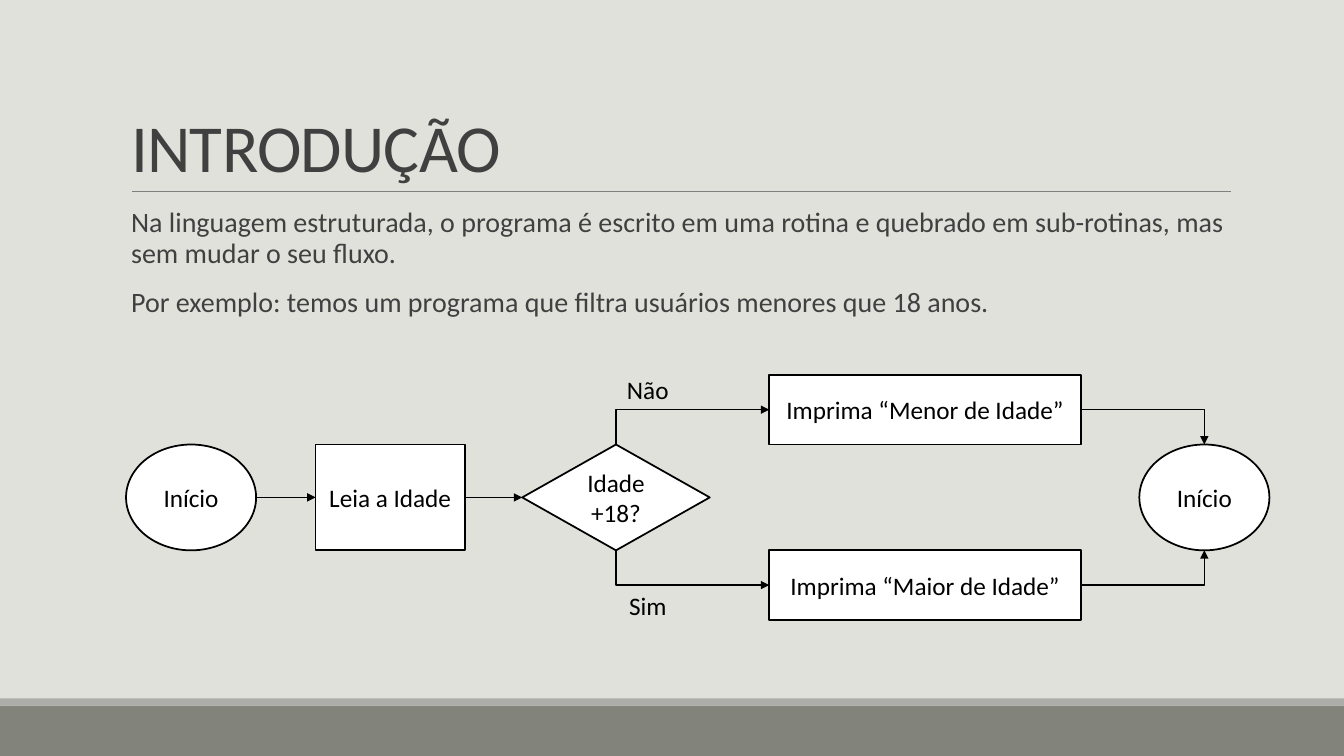
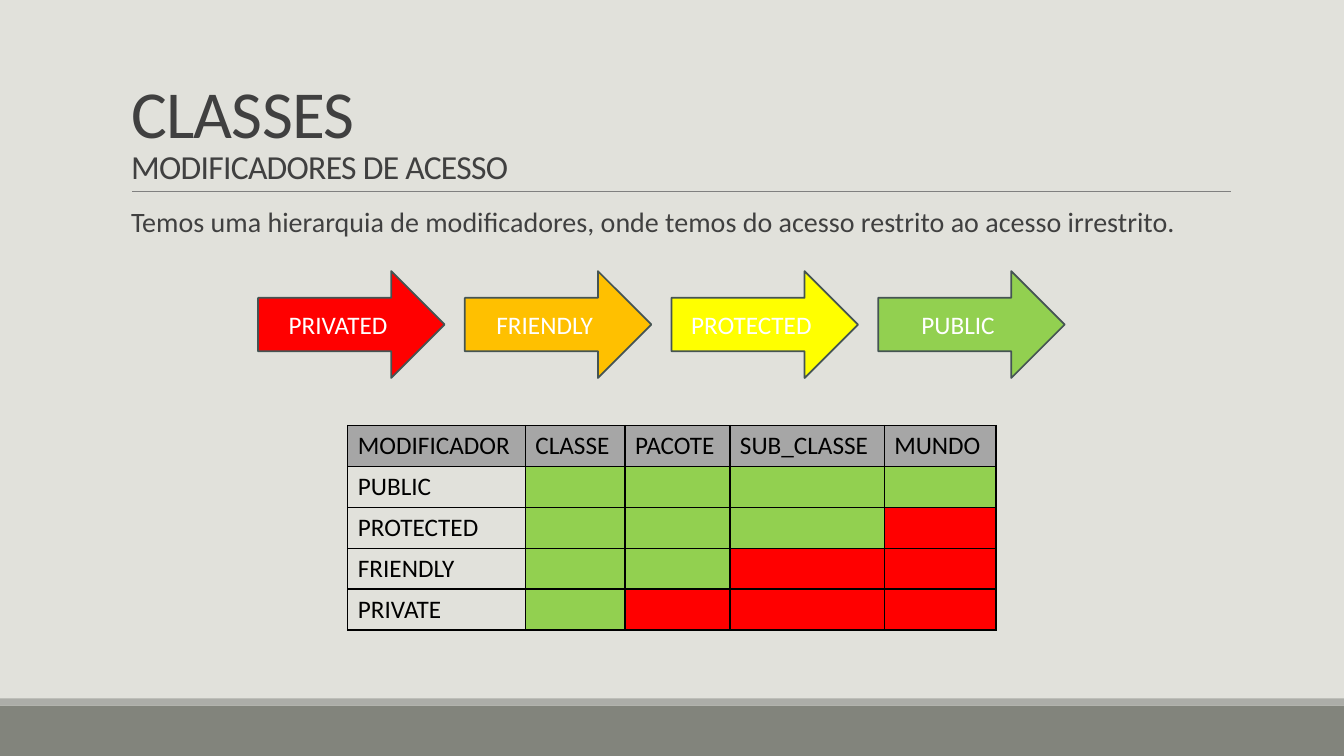
from lxml.etree import SubElement
from pptx import Presentation
from pptx.dml.color import RGBColor
from pptx.enum.shapes import MSO_CONNECTOR, MSO_SHAPE
from pptx.enum.text import MSO_ANCHOR, MSO_AUTO_SIZE, PP_ALIGN
from pptx.oxml.ns import qn
from pptx.util import Inches, Pt

BACKGROUND = RGBColor(0xE1, 0xE1, 0xDB)
BAND = RGBColor(0x82, 0x84, 0x7C)
BAND_EDGE = RGBColor(0xAC, 0xAD, 0xA8)
RULE = RGBColor(0x80, 0x80, 0x80)
DARK = RGBColor(0x40, 0x40, 0x40)
OUTLINE = RGBColor(0x45, 0x54, 0x53)
HEADER = RGBColor(0xA6, 0xA6, 0xA6)
BLACK = RGBColor(0, 0, 0)
WHITE = RGBColor(0xFF, 0xFF, 0xFF)
RED = RGBColor(0xFF, 0, 0)
ORANGE = RGBColor(0xFF, 0xC0, 0)
YELLOW = RGBColor(0xFF, 0xFF, 0)
GREEN = RGBColor(0x92, 0xD0, 0x50)

TOP, LEFT, BOTTOM, RIGHT = range(4)
SIDES = [(0.5, 0), (0, 0.5), (0.5, 1), (1, 0.5)]


def add_text(p, text, size=18, color=BLACK, align=None, tracking=None):
    if align is not None:
        p.alignment = align
    r = p.add_run()
    r.text = text
    r.font.name = "Calibri"
    r.font.size = Pt(size)
    r.font.color.rgb = color
    if tracking is not None:
        r.font._element.set("spc", str(tracking))


def add_box(s, kind, box, fill, line=None, text=None, color=BLACK):
    sp = s.shapes.add_shape(kind, *[Inches(v) for v in box])
    sp.shadow.inherit = False
    sp.fill.solid()
    sp.fill.fore_color.rgb = fill
    if line is None:
        sp.line.fill.background()
    else:
        sp.line.color.rgb = line
        sp.line.width = Pt(1.25)
    if text:
        tf = sp.text_frame
        tf.word_wrap = True
        tf.vertical_anchor = MSO_ANCHOR.MIDDLE
        add_text(tf.paragraphs[0], text, color=color, align=PP_ALIGN.CENTER)
    return sp


prs = Presentation()
prs.slide_width = Inches(13.33)
prs.slide_height = Inches(7.5)
layout = prs.slide_layouts[1]
fill = prs.slide_master.background.fill
fill.solid()
fill.fore_color.rgb = BACKGROUND

for ph, (top, height) in zip(layout.placeholders, [(0.31, 1.59), (2.02, 4.4)]):
    ph.left, ph.top = Inches(1.2), Inches(top)
    ph.width, ph.height = Inches(11), Inches(height)

CONTENT = [
    (["INTRODUÇÃO"],
     ["Na linguagem estruturada, o programa é escrito em uma rotina e quebrado em sub-rotinas, "
      "mas sem mudar o seu fluxo.",
      "Por exemplo: temos um programa que filtra usuários menores que 18 anos."]),
    (["CLASSES", "MODIFICADORES DE ACESSO"],
     ["Temos uma hierarquia de modificadores, onde temos do acesso restrito ao acesso irrestrito."]),
]
for title, body in CONTENT:
    s = prs.slides.add_slide(layout)
    tf = s.shapes.title.text_frame
    tf.auto_size = MSO_AUTO_SIZE.NONE
    tf.vertical_anchor = MSO_ANCHOR.BOTTOM
    p = tf.paragraphs[0]
    p.line_spacing = 0.85
    for i, (line, size) in enumerate(zip(title, [48, 24])):
        if i:
            p.add_line_break()
        add_text(p, line, size=size, color=DARK, align=PP_ALIGN.LEFT, tracking=-50)

    tf = s.placeholders[1].text_frame
    tf.auto_size = MSO_AUTO_SIZE.NONE
    tf.margin_left = tf.margin_right = 0
    for i, line in enumerate(body):
        p = tf.add_paragraph() if i else tf.paragraphs[0]
        p.line_spacing = 0.9
        p.space_before, p.space_after = Pt(12), Pt(2)
        add_text(p, line, size=20, color=DARK)
        pPr = p._p.get_or_add_pPr()
        pPr.set("marL", str(Inches(0.1)))
        pPr.set("indent", "0")
        SubElement(pPr, qn("a:buNone"))

flow, access = prs.slides

band = add_box(flow, MSO_SHAPE.RECTANGLE, (0, 7, 13.33, 0.5), BAND)
edge = add_box(flow, MSO_SHAPE.RECTANGLE, (0, 6.93, 13.33, 0.07), BAND_EDGE)
rule = flow.shapes.add_connector(
    MSO_CONNECTOR.STRAIGHT, Inches(1.31), Inches(1.9), Inches(12.21), Inches(1.9))
rule.line.color.rgb = RULE
rule.line.width = Pt(0.5)
SubElement(rule.element.spPr, qn("a:effectLst"))
for i, sp in enumerate([band, edge, rule]):
    sp.element[0][0].set("id", str(20 + i))
    layout.shapes.element.insert(2 + i, sp.element)

STEPS = {
    "start": (MSO_SHAPE.OVAL, (1.25, 4.41, 1.29, 1.05), "Início"),
    "read": (MSO_SHAPE.RECTANGLE, (3.13, 4.41, 1.48, 1.05), "Leia a Idade"),
    "test": (MSO_SHAPE.FLOWCHART_DECISION, (5.18, 4.41, 1.86, 1.05), "Idade +18?"),
    "adult": (MSO_SHAPE.RECTANGLE, (7.63, 5.46, 3.09, 0.69), "Imprima “Maior de Idade”"),
    "minor": (MSO_SHAPE.RECTANGLE, (7.63, 3.72, 3.09, 0.69), "Imprima “Menor de Idade”"),
    "end": (MSO_SHAPE.OVAL, (11.3, 4.41, 1.29, 1.05), "Início"),
}
steps = {name: add_box(flow, kind, box, WHITE, BLACK, text)
         for name, (kind, box, text) in STEPS.items()}

LINKS = [
    ("start", RIGHT, "read", LEFT, "a:tailEnd"),
    ("read", RIGHT, "test", LEFT, "a:tailEnd"),
    ("minor", LEFT, "test", TOP, "a:headEnd"),
    ("adult", LEFT, "test", BOTTOM, "a:headEnd"),
    ("minor", RIGHT, "end", TOP, "a:tailEnd"),
    ("adult", RIGHT, "end", BOTTOM, "a:tailEnd"),
]
for begin, begin_side, end, end_side, arrow in LINKS:
    ends = [(steps[begin], begin_side), (steps[end], end_side)]
    points = []
    for sp, side in ends:
        fx, fy = SIDES[side]
        points += [int(sp.left + fx * sp.width), int(sp.top + fy * sp.height)]
    bent = end_side in (TOP, BOTTOM)
    cx = flow.shapes.add_connector(
        MSO_CONNECTOR.ELBOW if bent else MSO_CONNECTOR.STRAIGHT, *points)
    cx.line.color.rgb = BLACK
    cx.line.width = Pt(1)
    spPr = cx.element.spPr
    if bent:
        spPr.find(qn("a:prstGeom")).set("prst", "bentConnector2")
    SubElement(spPr.find(qn("a:ln")), qn(arrow), type="triangle")
    SubElement(spPr, qn("a:effectLst"))
    for tag, (sp, side) in zip(["a:stCxn", "a:endCxn"], ends):
        site = side * 2 if sp.auto_shape_type == MSO_SHAPE.OVAL else side
        SubElement(cx.element.nvCxnSpPr.cNvCxnSpPr, qn(tag), id=str(sp.shape_id), idx=str(site))

for text, left, top, width in [("Não", 6.12, 3.66, 0.62), ("Sim", 6.14, 5.81, 0.58)]:
    tb = flow.shapes.add_textbox(Inches(left), Inches(top), Inches(width), Inches(0.4))
    tb.text_frame.word_wrap = False
    tb.text_frame.auto_size = MSO_AUTO_SIZE.SHAPE_TO_FIT_TEXT
    add_text(tb.text_frame.paragraphs[0], text)

LEVELS = [("PRIVATED", RED), ("FRIENDLY", ORANGE), ("PROTECTED", YELLOW), ("PUBLIC", GREEN)]
for i, (text, color) in enumerate(LEVELS):
    add_box(access, MSO_SHAPE.RIGHT_ARROW, (2.56 + 2.05 * i, 2.69, 1.85, 1.06),
            color, OUTLINE, text, WHITE)

HEADINGS = ["MODIFICADOR", "CLASSE", "PACOTE", "SUB_CLASSE", "MUNDO"]
MODIFIERS = ["PUBLIC", "PROTECTED", "FRIENDLY", "PRIVATE"]
WIDTHS = [1.76, 0.99, 1.04, 1.53, 1.11]
table = access.shapes.add_table(
    5, 5, Inches(3.45), Inches(4.22), Inches(6.43), Inches(2.03)).table
table.first_row = table.horz_banding = False
for col, width in zip(table.columns, WIDTHS):
    col.width = Inches(width)
for i, row in enumerate(table.rows):
    for j, cell in enumerate(row.cells):
        if i and not j:
            cell.fill.background()
        else:
            cell.fill.solid()
            cell.fill.fore_color.rgb = HEADER if i == 0 else GREEN if i + j <= 5 else RED
        if i == 0 or j == 0:
            add_text(cell.text_frame.paragraphs[0], MODIFIERS[i - 1] if i else HEADINGS[j])
        tcPr = cell._tc.get_or_add_tcPr()
        for k, side in enumerate(["a:lnL", "a:lnR", "a:lnT", "a:lnB"]):
            ln = SubElement(tcPr, qn(side), w=str(Pt(1)))
            SubElement(SubElement(ln, qn("a:solidFill")), qn("a:srgbClr"), val=str(BLACK))
            tcPr.insert(k, ln)

prs.save("out.pptx")
